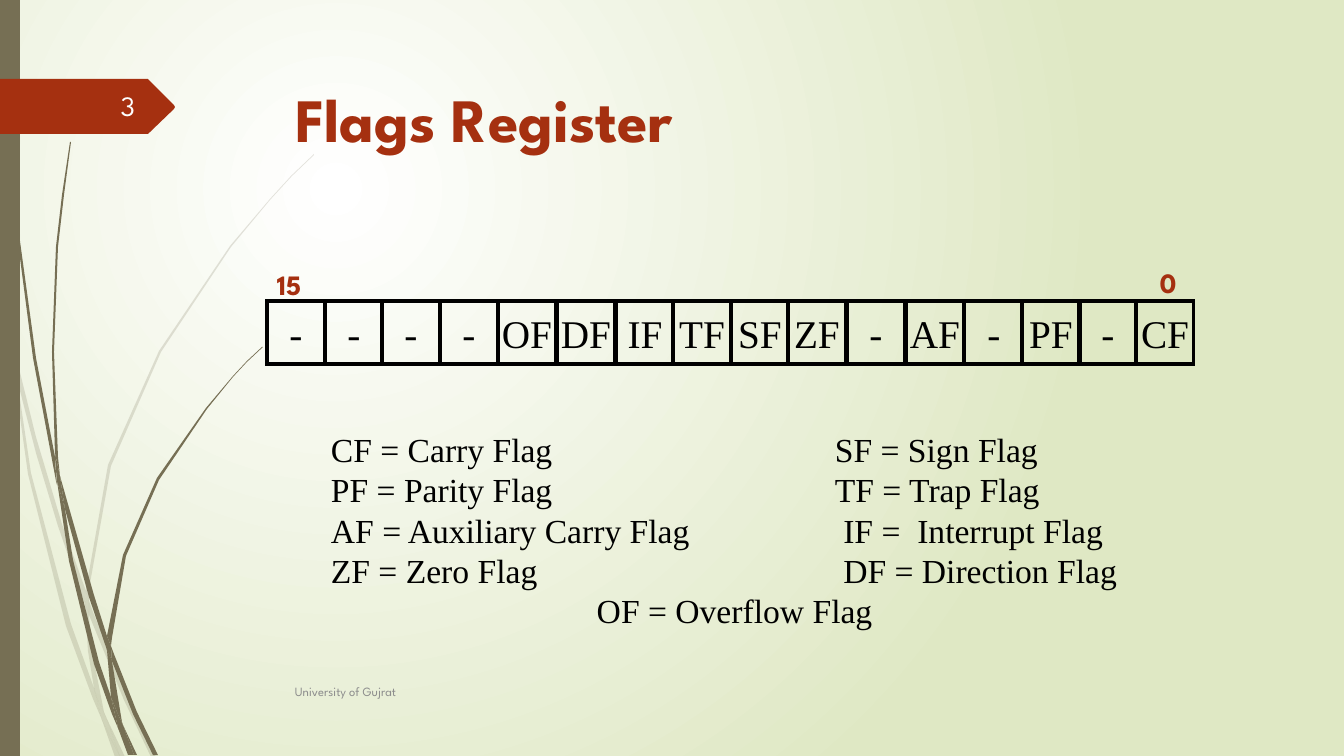
"""Build the Flags Register slide."""
import dataclasses
import typing

import lxml.etree
import pptx
import pptx.dml.color
import pptx.enum.shapes
import pptx.enum.text
import pptx.oxml.ns
import pptx.shapes.autoshape
import pptx.slide
import pptx.text.text
import pptx.util

WIDTH, HEIGHT = 1344, 756
SCALE = 12192000 / WIDTH
ALIGN = pptx.enum.text.PP_ALIGN
ANCHOR = pptx.enum.text.MSO_ANCHOR
KIND = pptx.enum.shapes.MSO_SHAPE
qn = pptx.oxml.ns.qn
Points = list[tuple[int, int]]


@dataclasses.dataclass(frozen=True)
class Theme:
    """Colours, fonts and type sizes of the slide."""
    red: str = "A53010"
    olive: str = "766F54"
    pale: str = "DFE8C4"
    white: str = "FFFFFF"
    light: str = "FEFFFF"
    black: str = "000000"
    grey: str = "8C8C8C"
    sans: str = "League Spartan"
    serif: str = "Times New Roman"
    head: int = 44
    cell: int = 28
    body: int = 24
    label: int = 20
    foot: int = 9


THEME = Theme()


class Box(typing.NamedTuple):
    """A rectangle in pixels."""
    left: int
    top: int
    width: int
    height: int


class Style(typing.NamedTuple):
    """The look of a piece of text."""
    size: int
    color: str
    font: str = THEME.sans
    bold: bool = False
    align: ALIGN = ALIGN.LEFT
    anchor: ANCHOR = ANCHOR.TOP


class Label(typing.NamedTuple):
    """A text with its place and look."""
    text: str
    box: Box
    style: Style


class Bit(typing.NamedTuple):
    """One bit of the register."""
    left: int
    text: str


FAINT: list[Points] = [
    [(11, 353), (9, 325), (0, 284), (0, 301), (10, 347)],
    [(58, 526), (85, 604), (86, 591), (62, 524), (36, 437), (14, 348), (17, 379), (36, 453)],
    [(93, 612), (89, 601), (89, 615), (124, 700), (151, 757), (156, 757), (128, 698)],
    [(120, 757), (125, 757), (106, 717)],
    [(94, 688), (71, 624), (31, 473), (17, 379), (11, 353), (28, 474), (66, 626), (93, 699),
     (102, 720), (100, 713)],
    [(85, 604), (88, 651), (94, 688), (97, 698), (106, 717), (104, 712), (92, 651), (89, 615),
     (89, 613)],
    [(89, 589), (111, 466), (161, 352), (231, 247), (270, 200), (292, 176), (314, 155),
     (314, 154), (291, 176), (270, 199), (230, 246), (159, 351), (108, 465), (86, 589),
     (86, 591), (89, 601)],
    [(102, 720), (115, 757), (120, 757)],
    [(89, 613), (89, 615), (89, 601), (86, 591), (85, 604)],
    [(97, 698), (94, 688), (100, 713), (102, 720), (120, 757), (106, 717)],
]
DARK: list[Points] = [
    [(7, 111), (17, 235), (33, 358), (56, 481), (57, 485), (55, 461), (55, 457), (36, 358),
     (19, 234), (8, 110), (5, 48), (4, 0), (3, 0), (4, 48)],
    [(89, 597), (107, 650), (107, 638), (107, 636), (94, 595), (60, 476), (65, 509)],
    [(114, 654), (111, 646), (112, 661), (133, 714), (153, 755), (158, 755), (137, 712)],
    [(111, 697), (99, 662), (73, 560), (65, 509), (57, 481), (69, 561), (94, 664), (112, 714),
     (118, 728), (117, 723)],
    [(60, 476), (58, 457), (54, 352), (58, 247), (64, 195), (71, 142), (70, 142), (62, 195),
     (56, 247), (52, 352), (55, 453)],
    [(134, 755), (137, 755), (123, 725)],
    [(57, 481), (65, 509), (60, 476), (55, 453), (55, 457)],
    [(112, 638), (126, 556), (159, 480), (207, 409), (233, 377), (247, 362), (263, 347),
     (262, 347), (247, 361), (233, 376), (206, 408), (157, 478), (123, 555), (107, 636),
     (111, 646)],
    [(118, 728), (128, 755), (132, 755)],
    [(107, 650), (111, 697), (117, 712), (123, 725), (122, 722), (112, 661), (110, 656)],
    [(107, 650), (110, 656), (112, 661), (111, 646), (107, 636), (107, 638)],
    [(117, 712), (111, 697), (117, 723), (118, 728), (131, 755), (134, 755), (123, 725)],
]
BADGE: Points = [(0, 79), (148, 79), (174, 105), (175, 107), (174, 109), (148, 134), (0, 134)]
BITS = [
    Bit(267, "-"), Bit(325, "-"), Bit(382, "-"), Bit(440, "-"),
    Bit(498, "OF"), Bit(557, "DF"), Bit(616, "IF"), Bit(673, "TF"),
    Bit(731, "SF"), Bit(788, "ZF"), Bit(847, "-"), Bit(906, "AF"),
    Bit(965, "-"), Bit(1022, "PF"), Bit(1079, "-"), Bit(1136, "CF"),
]
LEGEND = [
    "CF = Carry Flag\tSF = Sign Flag",
    "PF = Parity Flag\tTF = Trap Flag",
    "AF = Auxiliary Carry Flag\t IF =  Interrupt Flag",
    "ZF = Zero Flag\t DF = Direction Flag",
    "OF = Overflow Flag",
]
TAB = 504
MARK = Style(THEME.label, THEME.red, bold=True)
TITLE = Label("Flags Register", Box(285, 76, 983, 141), Style(THEME.head, THEME.red, bold=True))
LABELS = [
    Label("University of Gujrat", Box(285, 672, 840, 40),
          Style(THEME.foot, THEME.grey, anchor=ANCHOR.MIDDLE)),
    Label("3", Box(59, 85, 86, 40),
          Style(THEME.label, THEME.light, align=ALIGN.RIGHT, anchor=ANCHOR.MIDDLE)),
    Label("0", Box(1150, 261, 45, 44), MARK),
    Label("15", Box(267, 263, 64, 44), MARK),
]


def emu(pixels: int) -> int:
    """Turn pixels into EMU."""
    return round(pixels * SCALE)


def place(box: Box) -> list[int]:
    """Give the sides of a box in EMU."""
    return [emu(side) for side in box]


def tint(code: str) -> pptx.dml.color.RGBColor:
    """Read a colour code."""
    return pptx.dml.color.RGBColor.from_string(code)


def write(frame: pptx.text.text.TextFrame, text: str, style: Style, wrap: bool = True) -> None:
    """Set and format the text of a frame."""
    frame.text = text
    frame.word_wrap = wrap
    frame.auto_size = pptx.enum.text.MSO_AUTO_SIZE.NONE
    frame.vertical_anchor = style.anchor
    for para in frame.paragraphs:
        para.alignment = style.align
        for run in para.runs:
            run.font.name = style.font
            run.font.size = pptx.util.Pt(style.size)
            run.font.bold = style.bold
            run.font.color.rgb = tint(style.color)


def paint(shape: pptx.shapes.autoshape.Shape, color: str, faint: bool = False) -> None:
    """Fill a shape and leave off its line and shadow."""
    shape.shadow.inherit = False
    shape.fill.solid()
    shape.fill.fore_color.rgb = tint(color)
    shape.line.fill.background()
    if faint:
        tone = shape.element.spPr.find(qn("a:solidFill")).find(qn("a:srgbClr"))
        lxml.etree.SubElement(tone, qn("a:alpha"), val="20000")


def add_text(slide: pptx.slide.Slide, label: Label) -> pptx.text.text.TextFrame:
    """Add a text box."""
    frame = slide.shapes.add_textbox(*place(label.box)).text_frame
    write(frame, label.text, label.style)
    return frame


def add_form(slide: pptx.slide.Slide, points: Points, color: str, faint: bool = False) -> None:
    """Draw a filled outline."""
    pen = slide.shapes.build_freeform(*points[0], scale=SCALE)
    pen.add_line_segments(points[1:], close=True)
    paint(pen.convert_to_shape(), color, faint)


def add_ground(slide: pptx.slide.Slide) -> None:
    """Set the round gradient behind the slide."""
    fill = slide.background.fill
    fill.gradient()
    for stop, color in zip(fill.gradient_stops, (THEME.white, THEME.pale)):
        stop.color.rgb = tint(color)
    grad = next(slide.element.iter(qn("a:gradFill")))
    grad.remove(grad.find(qn("a:lin")))
    ring = lxml.etree.SubElement(grad, qn("a:path"), path="circle")
    lxml.etree.SubElement(ring, qn("a:fillToRect"), l="50000", t="50000", r="100000", b="100000")


def add_cell(slide: pptx.slide.Slide, bit: Bit) -> None:
    """Draw one bit of the register."""
    cell = slide.shapes.add_shape(KIND.RECTANGLE, *place(Box(bit.left, 301, 58, 63)))
    cell.shadow.inherit = False
    cell.fill.background()
    cell.line.color.rgb = tint(THEME.black)
    cell.line.width = pptx.util.Pt(2.25)
    lxml.etree.SubElement(cell.element.spPr.find(qn("a:ln")), qn("a:miter"), lim="800000")
    style = Style(THEME.cell, THEME.black, THEME.serif, align=ALIGN.CENTER, anchor=ANCHOR.MIDDLE)
    write(cell.text_frame, bit.text, style, wrap=False)


def add_legend(slide: pptx.slide.Slide) -> None:
    """Write the flag names in two columns."""
    style = Style(THEME.body, THEME.black, THEME.serif)
    frame = add_text(slide, Label("\n".join(LEGEND), Box(321, 424, 827, 214), style))
    for para in frame.paragraphs[:-1]:
        tabs = lxml.etree.SubElement(para._p.get_or_add_pPr(), qn("a:tabLst"))
        lxml.etree.SubElement(tabs, qn("a:tab"), pos=str(emu(TAB)), algn="l")
    frame.paragraphs[-1].alignment = ALIGN.CENTER


def main() -> None:
    """Build and save the slide."""
    deck = pptx.Presentation()
    deck.slide_width, deck.slide_height = emu(WIDTH), emu(HEIGHT)
    slide = deck.slides.add_slide(deck.slide_layouts.get_by_name("Title Only"))
    add_ground(slide)
    for blades, faint in ((FAINT, True), (DARK, False)):
        for blade in blades:
            add_form(slide, blade, THEME.olive, faint)
    paint(slide.shapes.add_shape(KIND.RECTANGLE, *place(Box(0, 0, 20, HEIGHT))), THEME.olive)
    add_form(slide, BADGE, THEME.red)
    title = slide.shapes.title
    title.left, title.top, title.width, title.height = place(TITLE.box)
    write(title.text_frame, TITLE.text, TITLE.style)
    for bit in BITS:
        add_cell(slide, bit)
    add_legend(slide)
    for label in LABELS:
        add_text(slide, label)
    deck.save("out.pptx")


main()
